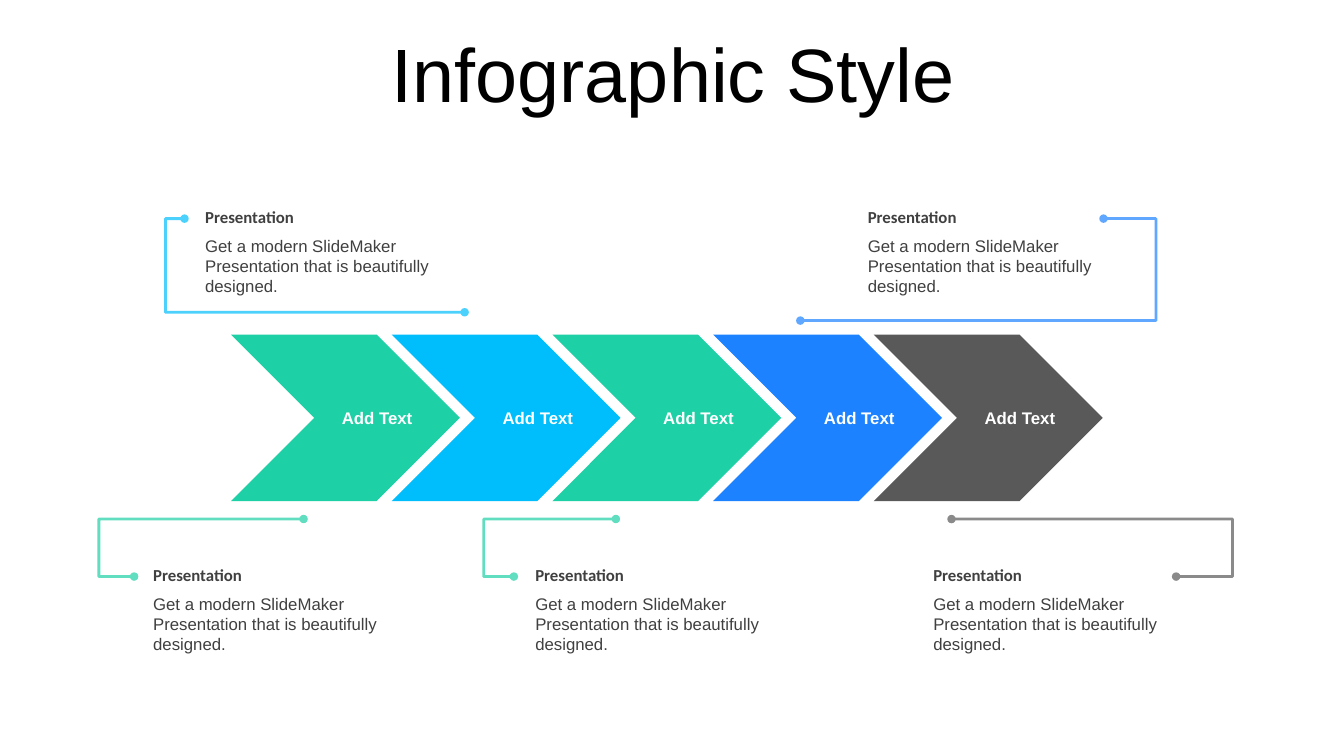
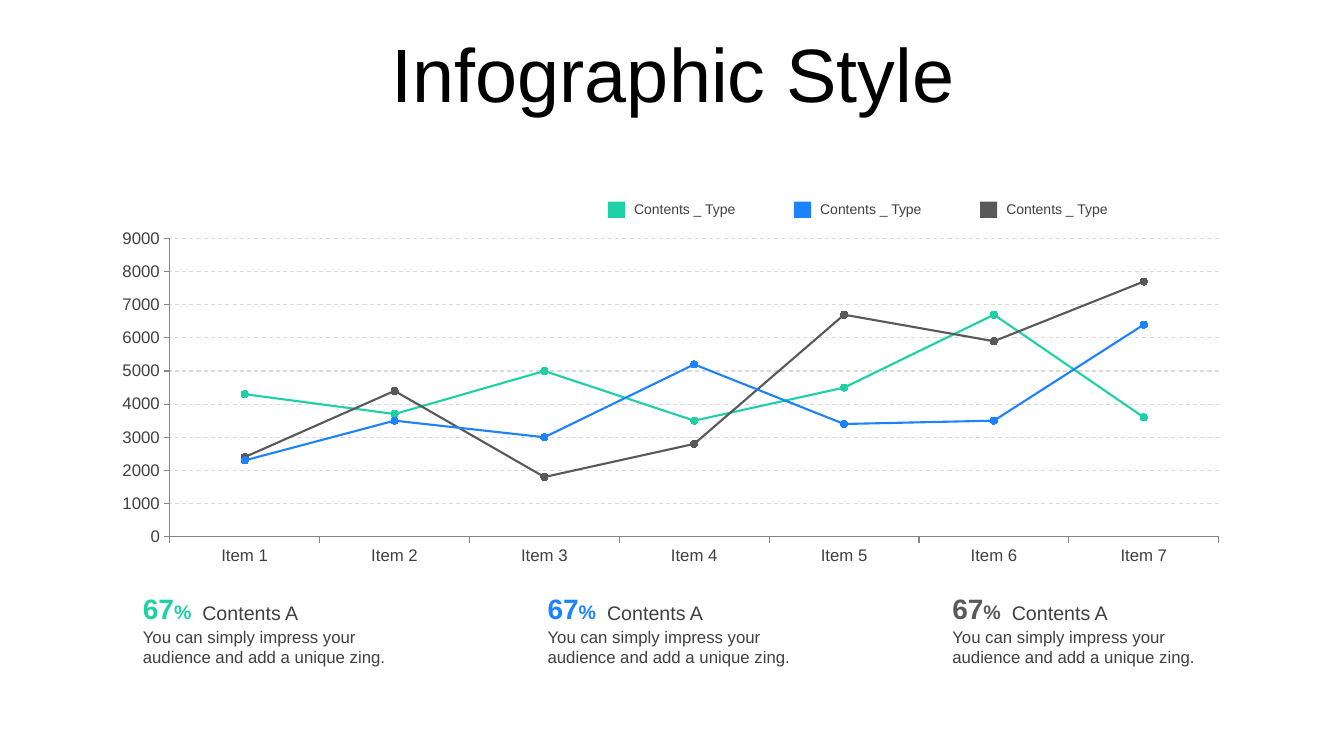
from lxml.etree import SubElement
from pptx import Presentation
from pptx.chart.data import CategoryChartData
from pptx.dml.color import RGBColor
from pptx.enum.chart import XL_CHART_TYPE as ChartType, XL_MARKER_STYLE as Marker
from pptx.enum.chart import XL_TICK_MARK as TickMark
from pptx.enum.dml import MSO_LINE as LineDash
from pptx.enum.shapes import MSO_CONNECTOR as ConnectorType, MSO_SHAPE as ShapeType
from pptx.enum.text import MSO_ANCHOR as Anchor, PP_ALIGN as Align
from pptx.oxml.ns import qn
from pptx.util import Cm, Pt

GREEN = RGBColor(0x1E, 0xD0, 0xA6)
CYAN = RGBColor(0x00, 0xBD, 0xFB)
BLUE = RGBColor(0x1C, 0x82, 0xFF)
GRAY = RGBColor(0x59, 0x59, 0x59)
TEXT = RGBColor(0x40, 0x40, 0x40)
AXIS = RGBColor(0x86, 0x86, 0x86)
GRID = RGBColor(0xD9, 0xD9, 0xD9)
BLACK = RGBColor(0, 0, 0)
WHITE = RGBColor(0xFF, 0xFF, 0xFF)

BODY = {"name": "Arial", "size": Pt(12), "bold": False}
HEADING = {"name": "Calibri", "size": Pt(12), "bold": True}
STRONG = BODY | {"bold": True}
NO_SIDE_INSETS = {"margin_left": 0, "margin_right": 0}
MIDDLE = {"vertical_anchor": Anchor.MIDDLE}

CALLOUT_TEXT = "Get a modern SlideMaker Presentation that is beautifully designed."
STAT_TEXT = "You can simply impress your audience and add a unique zing."

# text left, text top, line end at text, line end at chevron (x, y), spine x, colour
CALLOUTS = [
    (3.86, 14.1, 3.38, (7.65, 13.08), 2.49, GREEN),
    (13.49, 14.1, 12.95, (15.52, 13.08), 12.19, GREEN),
    (23.52, 14.1, 29.64, (23.98, 13.08), 31.06, GRAY),
    (5.17, 5.08, 4.65, (11.71, 7.87), 4.17, CYAN),
    (21.87, 5.08, 27.81, (20.17, 8.08), 29.13, BLUE),
]
SERIES = [
    ("Series 1", GREEN, (4300, 3700, 5000, 3500, 4500, 6700, 3600)),
    ("Series 2", GRAY, (2400, 4400, 1800, 2800, 6700, 5900, 7700)),
    ("Series 3", BLUE, (2300, 3500, 3000, 5200, 3400, 3500, 6400)),
]


def apply_format(target, values):
    for name, value in values.items():
        setattr(target, name, value)


def add_text(slide, box, runs, frame_format=None, paragraph_format=None):
    """Add one paragraph; box is in cm, runs are (text, font format, colour)."""
    frame = slide.shapes.add_textbox(*map(Cm, box)).text_frame
    apply_format(frame, {"word_wrap": True} | (frame_format or {}))
    paragraph = frame.paragraphs[0]
    apply_format(paragraph, paragraph_format or {})
    for text, font_format, color in runs:
        run = paragraph.add_run()
        run.text = text
        apply_format(run.font, font_format)
        run.font.color.rgb = color


def add_block(slide, kind, box, color):
    shape = slide.shapes.add_shape(kind, *map(Cm, box))
    shape.shadow.inherit = False
    shape.fill.solid()
    shape.fill.fore_color.rgb = color
    shape.line.fill.background()


def add_title(slide, text):
    add_text(slide, (0.89, 0.79, 32.16, 2.34), [(text, BODY | {"size": Pt(54)}, BLACK)],
             MIDDLE, {"alignment": Align.CENTER, "line_spacing": 0.9})


def add_bracket(slide, ends, spine, color):
    """Join two points, left one first, by an elbow line that turns at x = spine."""
    (left, start_y), (right, end_y) = sorted(ends)
    connector = slide.shapes.add_connector(
        ConnectorType.ELBOW, Cm(left), Cm(start_y), Cm(right), Cm(end_y))
    connector.line.width = Pt(2)
    connector.line.color.rgb = color
    properties = connector.element.spPr
    turn = round((spine - left) / (right - left) * 100000)
    SubElement(properties.find(".//" + qn("a:avLst")), qn("a:gd"),
               name="adj1", fmla=f"val {turn}")
    line = properties.find(qn("a:ln"))
    SubElement(line.find(".//" + qn("a:srgbClr")), qn("a:alpha"), val="70000")
    for end in ("a:headEnd", "a:tailEnd"):
        SubElement(line, qn(end), type="oval")
    SubElement(properties, qn("a:effectLst"))


def add_callout(slide, left, top, text_end, chevron_end, spine, color):
    add_text(slide, (left, top, 5.67, 0.76), [("Presentation", HEADING, TEXT)], NO_SIDE_INSETS)
    add_text(slide, (left, top + 0.74, 5.69, 1.8), [(CALLOUT_TEXT, BODY, TEXT)], NO_SIDE_INSETS)
    add_bracket(slide, [(text_end, top + 0.43), chevron_end], spine, color)


def add_chevrons(slide, left, top, colors, pitch=4.05):
    for index, color in enumerate(colors):
        add_block(slide, ShapeType.CHEVRON, (left + index * pitch, top, 5.77, 4.2), color)
    for index in range(len(colors)):
        add_text(slide, (left + 2.48 + index * pitch, top + 1.73, 2.41, 0.76),
                 [("Add Text", STRONG, WHITE)], NO_SIDE_INSETS, {"alignment": Align.CENTER})


def add_line_chart(slide, box):
    data = CategoryChartData()
    data.categories = [f"Item {number}" for number in range(1, 8)]
    for name, _, values in SERIES:
        data.add_series(name, values)
    chart = slide.shapes.add_chart(ChartType.LINE_MARKERS, *map(Cm, box), data).chart
    apply_format(chart, {"has_legend": False, "has_title": False})
    apply_format(chart.font, BODY)
    chart.font.color.rgb = TEXT
    chart.plots[0].vary_by_categories = False

    for axis in (chart.category_axis, chart.value_axis):
        apply_format(axis, {"major_tick_mark": TickMark.OUTSIDE,
                            "minor_tick_mark": TickMark.NONE})
        axis.format.line.color.rgb = AXIS
        axis.format.line.width = Pt(0.75)
    apply_format(chart.value_axis, {"minimum_scale": 0, "maximum_scale": 9000,
                                    "major_unit": 1000, "has_major_gridlines": True})
    grid = chart.value_axis.major_gridlines.format.line
    grid.color.rgb = GRID
    apply_format(grid, {"width": Pt(0.75), "dash_style": LineDash.DASH})

    for series, (_, color, _) in zip(chart.plots[0].series, SERIES):
        series.smooth = False
        series.format.line.color.rgb = color
        series.format.line.width = Pt(1.5)
        apply_format(series.marker, {"style": Marker.CIRCLE, "size": 5})
        series.marker.format.fill.solid()
        series.marker.format.fill.fore_color.rgb = color
        series.marker.format.line.color.rgb = color


def add_legend_entry(slide, left, top, color):
    add_block(slide, ShapeType.RECTANGLE, (left, top, 0.43, 0.41), color)
    add_text(slide, (left + 0.41, top - 0.15, 3.63, 0.69),
             [("Contents _ Type", BODY | {"size": Pt(10)}, TEXT)], MIDDLE)


def add_stat(slide, left, top, color):
    add_text(slide, (left, top, 2.21, 1.12),
             [("67", STRONG | {"size": Pt(20)}, color),
              ("%", STRONG | {"size": Pt(14)}, color)], MIDDLE)
    add_text(slide, (left + 1.5, top + 0.25, 5.31, 0.86),
             [("Contents A", BODY | {"size": Pt(14)}, TEXT)], MIDDLE)
    add_text(slide, (left, top + 0.91, 6.81, 1.27), [(STAT_TEXT, BODY, TEXT)])


def build_process_slide(slide):
    add_title(slide, "Infographic Style")
    add_chevrons(slide, 5.82, 8.43, [GREEN, CYAN, GREEN, BLUE, GRAY])
    for callout in CALLOUTS:
        add_callout(slide, *callout)


def build_chart_slide(slide):
    add_title(slide, "Infographic Style")
    add_line_chart(slide, (2.51, 5.61, 28.78, 8.79))
    for index, color in enumerate([GREEN, BLUE, GRAY]):
        add_legend_entry(slide, 15.32 + index * 4.69, 5.08, color)
        add_stat(slide, 3.35 + index * 10.2, 14.76, color)


def main():
    presentation = Presentation()
    apply_format(presentation, {"slide_width": Cm(33.87), "slide_height": Cm(19.05)})
    for build in (build_process_slide, build_chart_slide):
        build(presentation.slides.add_slide(presentation.slide_layouts[6]))
    presentation.save("out.pptx")


if __name__ == "__main__":
    main()
